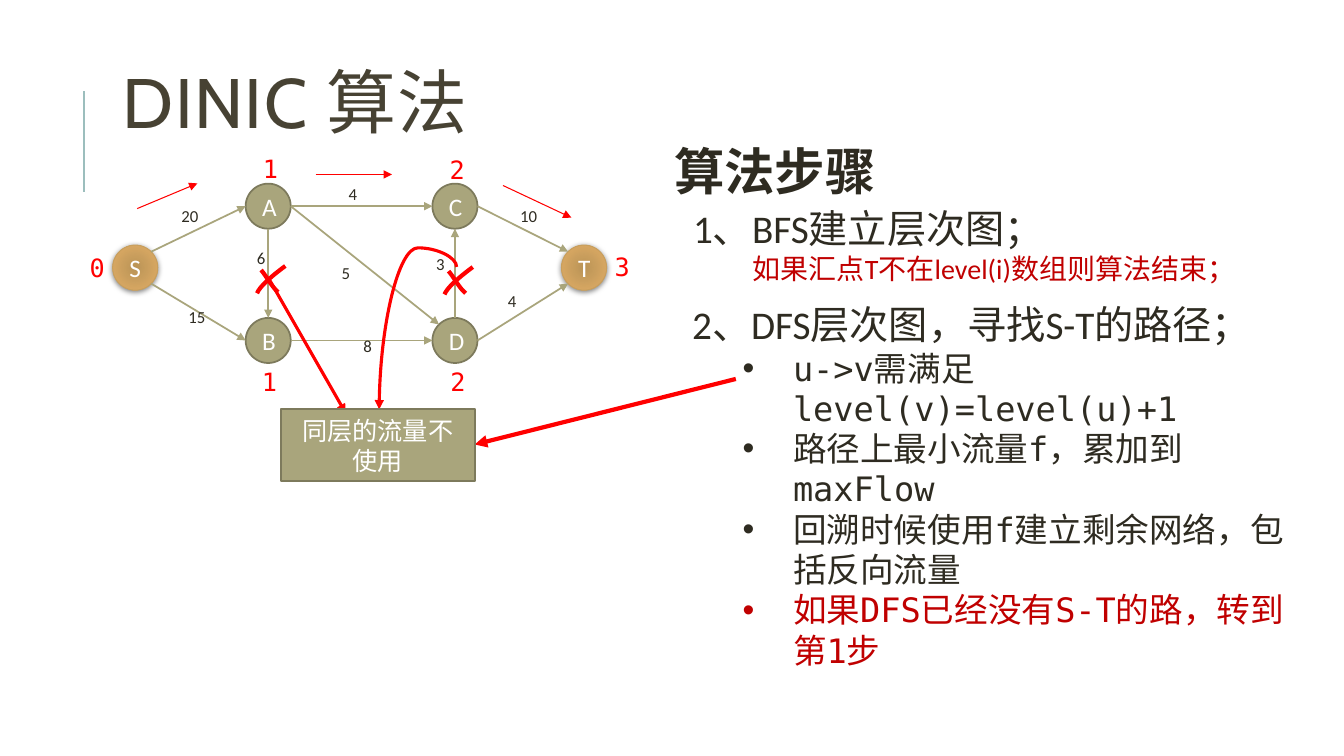
from lxml.etree import SubElement
from pptx import Presentation
from pptx.dml.color import RGBColor
from pptx.enum.shapes import MSO_CONNECTOR as LINK, MSO_SHAPE as SHAPE
from pptx.enum.text import MSO_ANCHOR as ANCHOR, MSO_AUTO_SIZE as AUTO, PP_ALIGN as ALIGN
from pptx.oxml.ns import qn
from pptx.util import Pt

# Content
TITLE = "DINIC 算法"
HEADING = "算法步骤"
STEP_ONE = "1、BFS建立层次图；"
STOP_RULE = "如果汇点T不在level(i)数组则算法结束；"
STEP_TWO = "2、DFS层次图，寻找S-T的路径；"
DETAILS = [
    ("u->v需满足level(v)=level(u)+1", "ink"),
    ("路径上最小流量f，累加到maxFlow", "ink"),
    ("回溯时候使用f建立剩余网络，包括反向流量", "ink"),
    ("如果DFS已经没有S-T的路，转到第1步", "crimson"),
]
NOTE = "同层的流量不使用"

# Node centres; edges run from a side of one node to a side of another
NODES = {"S": (96.6, 191.2), "A": (191.6, 147.3), "B": (191.6, 243.2),
         "C": (325, 147.3), "D": (325, 243.2), "T": (417.2, 191.2)}
TERMINALS = "ST"
EDGES = [("S", "top right", "A", "left"), ("S", "bottom right", "B", "left"),
         ("A", "right", "C", "left"), ("A", "bottom", "B", "top"),
         ("B", "right", "D", "left"), ("D", "right", "T", "bottom left"),
         ("C", "right", "T", "top left"), ("A", "right", "D", "top left"),
         ("D", "top", "C", "bottom")]
CAPACITIES = [("4", 242, 127.5), ("20", 122.5, 143.3), ("10", 364.5, 143.3),
              ("15", 127.5, 215.3), ("8", 252.5, 236.2), ("5", 237, 184.3),
              ("3", 304.5, 177.8), ("4", 355.7, 203.8), ("6", 176.4, 173.5)]
LEVELS = [("0", 57, 176.4), ("1", 180.7, 105.8), ("1", 180, 257.8),
          ("2", 314.6, 257.8), ("2", 314, 106.5), ("3", 432, 175.7)]
DIRECTIONS = [((98, 149), (141, 131)), ((225.4, 124.6), (280, 124.6)),
              ((359.3, 132.5), (408.2, 155.5))]
NOTE_ARROWS = [((192.2, 199.4), (247, 295.2), 2.25), ((525.6, 270.7), (339.1, 317.5), 3)]
CROSSES = [(183.6, 190), (317.5, 190.8)]
CROSS_STROKES = [[(0, 19.5), (2.2, 13.7), (14.4, 4.3), (20.2, 0)],
                 [(2.9, 2.9), (7.2, 7.9), (10.1, 14.4), (15.1, 18.7)]]

COLORS = {"title": "474233", "ink": "2E2B21", "crimson": "C00000", "red": "FF0000",
          "olive": "A9A57C", "olive edge": "7D7A5C", "gold": "BA9457",
          "light gold": "E3AF67", "gold edge": "C89F5D", "rule": "9CBEBD",
          "white": "FFFFFF"}
SANS, MONO = "Calibri", "DejaVu Sans Mono"
DIAMETER = 32.2
RADIUS = DIAMETER / 2

prs = Presentation()
prs.slide_width, prs.slide_height = Pt(960), Pt(540)
slide = prs.slides.add_slide(prs.slide_layouts[5])
shapes = slide.shapes


def rgb(name):
    return RGBColor.from_string(COLORS[name])


def style(paragraph, size, color, font=SANS, bold=False):
    for run in paragraph.runs:
        run.font.size, run.font.name, run.font.bold = Pt(size), font, bold
        run.font.color.rgb = rgb(color)


def add_text(text, x, y, width, height, size, color, font=SANS, bold=False, wrap=True):
    frame = shapes.add_textbox(Pt(x), Pt(y), Pt(width), Pt(height)).text_frame
    frame.word_wrap = wrap
    frame.text = text
    style(frame.paragraphs[0], size, color, font, bold)
    return frame


def add_line(start, end, color, weight, arrow=True, kind=LINK.STRAIGHT):
    line = shapes.add_connector(kind, *(Pt(v) for v in (*start, *end)))
    line.line.color.rgb = rgb(color)
    line.line.width = Pt(weight)
    props = line._element.spPr
    if arrow:
        SubElement(props.find(qn("a:ln")), qn("a:tailEnd"), type="triangle")
    SubElement(props, qn("a:effectLst"))
    return line


def add_block(kind, text, x, y, width, height, edge="olive edge", weight=1.25):
    block = shapes.add_shape(kind, Pt(x), Pt(y), Pt(width), Pt(height))
    block.fill.solid()
    block.fill.fore_color.rgb = rgb("olive")
    block.line.color.rgb = rgb(edge)
    block.line.width = Pt(weight)
    block.shadow.inherit = False
    frame = block.text_frame
    frame.text = text
    frame.vertical_anchor = ANCHOR.MIDDLE
    frame.paragraphs[0].alignment = ALIGN.CENTER
    style(frame.paragraphs[0], 18, "white")
    return block


def make_terminal(node):
    """Give a node the radial gold fill and a soft shadow."""
    node.fill.gradient()
    for stop, position, color in zip(node.fill.gradient_stops, (0, 1), ("gold", "light gold")):
        stop.position, stop.color.rgb = position, rgb(color)
    props = node._element.spPr
    gradient = props.find(qn("a:gradFill"))
    gradient.remove(gradient.find(qn("a:lin")))
    radial = SubElement(gradient, qn("a:path"), path="circle")
    SubElement(radial, qn("a:fillToRect"), {side: "100000" for side in "ltrb"})
    shadow = SubElement(props.find(qn("a:effectLst")), qn("a:outerShdw"),
                        blurRad=str(Pt(4)), dist=str(Pt(1)), dir="5400000", rotWithShape="0")
    black = SubElement(shadow, qn("a:srgbClr"), val="000000")
    SubElement(black, qn("a:alpha"), val="50000")


def side_point(node, side):
    x, y = NODES[node]
    dx = ("right" in side) - ("left" in side)
    dy = ("bottom" in side) - ("top" in side)
    reach = RADIUS * (0.707 if dx and dy else 1)
    return x + dx * reach, y + dy * reach


def curve_points(controls, steps=10):
    a, b, c, d = controls
    for t in (i / steps for i in range(steps + 1)):
        u = 1 - t
        yield tuple(u**3 * a[k] + 3 * u * u * t * b[k] + 3 * u * t * t * c[k] + t**3 * d[k]
                    for k in (0, 1))


# Title and its rule
add_line((60, 137), (60, 65), "rule", 1.5, arrow=False)
title = shapes.title
title.left, title.top, title.width, title.height = Pt(80.6), Pt(21.6), Pt(841), Pt(111.6)
title.text_frame.text = TITLE
title.text_frame.auto_size = AUTO.NONE
title.text_frame.vertical_anchor = ANCHOR.MIDDLE
heading_line = title.text_frame.paragraphs[0]
heading_line.alignment, heading_line.line_spacing = ALIGN.LEFT, 0.8
style(heading_line, 50, "title", "Cabin")
for run in heading_line.runs:
    run._r.get_or_add_rPr().set("spc", "100")

# Flow network
for name, (x, y) in NODES.items():
    terminal = name in TERMINALS
    node = add_block(SHAPE.OVAL, name, x - RADIUS, y - RADIUS, DIAMETER, DIAMETER,
                     *(("gold edge", 0.75) if terminal else ()))
    if terminal:
        make_terminal(node)
for source, exit_side, target, entry_side in EDGES:
    add_line(side_point(source, exit_side), side_point(target, entry_side), "olive", 1.25)
for capacity, x, y in CAPACITIES:
    add_text(capacity, x, y, 35, 21.6, 12, "ink")
for level, x, y in LEVELS:
    add_text(level, x, y, 34, 29, 18, "red", MONO)

# Rejected edges and the note about them
for start, end, weight in NOTE_ARROWS:
    add_line(start, end, "red", weight)
loop = add_line((247.6, 213.9), (349.4, 269.2), "red", 2.25, kind=LINK.CURVE)
loop._element.spPr.find(qn("a:xfrm")).set("rot", "5400000")
bend = loop._element.spPr.find(qn("a:prstGeom")).find(qn("a:avLst"))
SubElement(bend, qn("a:gd"), name="adj1", fmla="val -13400")
add_block(SHAPE.RECTANGLE, NOTE, 200.5, 292.4, 138.7, 51.2)
for left, top in CROSSES:
    strokes = [[(Pt(left + x), Pt(top + y)) for x, y in curve_points(controls)]
               for controls in CROSS_STROKES]
    builder = shapes.build_freeform(*strokes[0][0])
    builder.add_line_segments(strokes[0][1:], close=False)
    builder.move_to(*strokes[1][0])
    builder.add_line_segments(strokes[1][1:], close=False)
    cross = builder.convert_to_shape()
    cross.fill.background()
    cross.line.color.rgb = rgb("red")
    cross.line.width = Pt(3)
    cross.shadow.inherit = False

# Search directions
for start, end in DIRECTIONS:
    add_line(start, end, "red", 0.75)

# Algorithm steps
add_text(HEADING, 474.5, 96.5, 160, 51, 36, "ink", bold=True, wrap=False)
add_text(STEP_ONE, 488, 142.6, 365, 41, 28, "ink")
add_text(STOP_RULE, 530.6, 176.4, 365, 31.7, 20, "crimson")
steps = add_text(STEP_TWO, 487.4, 211, 451.4, 307.4, 28, "ink")
for detail, color in DETAILS:
    item = steps.add_paragraph()
    item.text = detail
    item.level = 1
    style(item, 24, color, MONO)
    props = item._p.get_or_add_pPr()
    props.set("marL", str(Pt(72)))
    props.set("indent", str(-Pt(36)))
    SubElement(props, qn("a:buFont"), typeface="Arial")
    SubElement(props, qn("a:buChar"), char="•")

prs.save("out.pptx")
